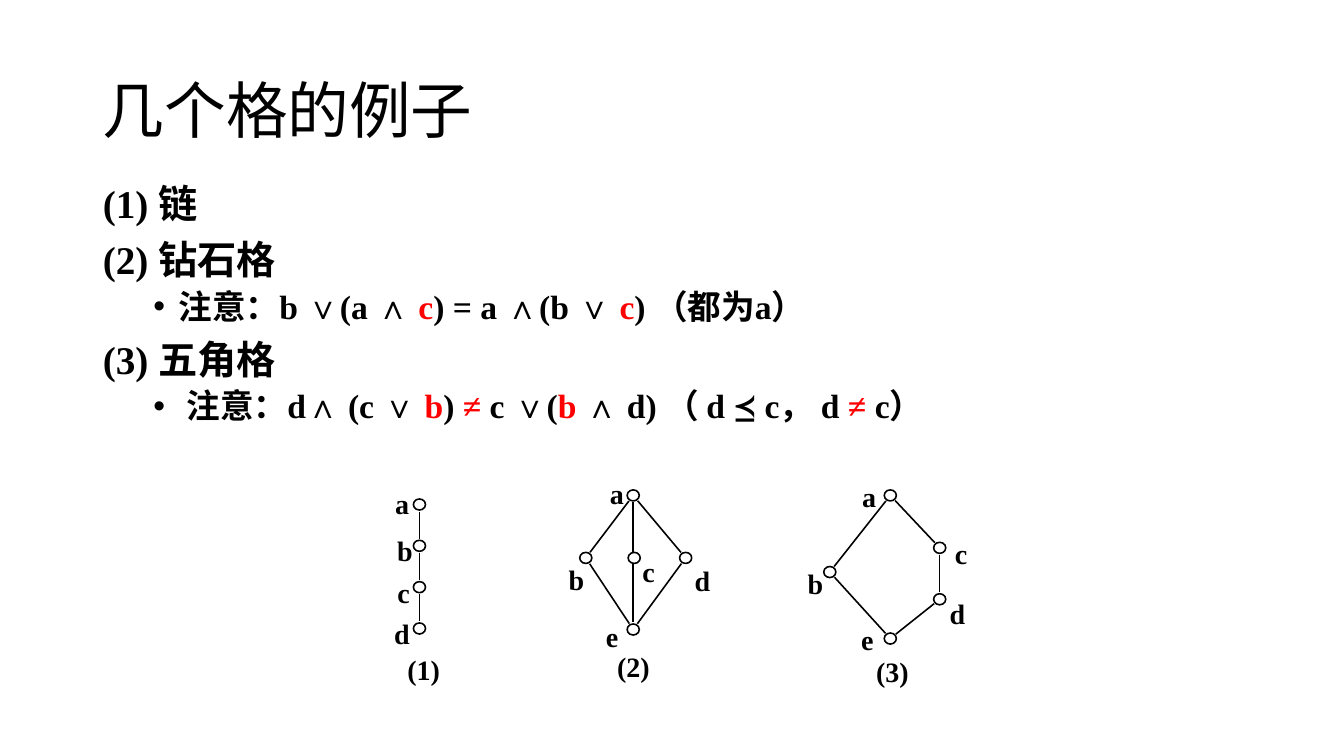
from math import hypot

from lxml.etree import SubElement
from pptx import Presentation
from pptx.dml.color import RGBColor
from pptx.enum.shapes import MSO_CONNECTOR as Link, MSO_SHAPE as Shape
from pptx.enum.text import MSO_ANCHOR as Anchor, MSO_AUTO_SIZE as Fit, PP_ALIGN as Align
from pptx.oxml.ns import qn
from pptx.util import Inches, Pt

BLACK, RED, WHITE = "000000", "FF0000", "FFFFFF"


def color(code):
    return RGBColor.from_string(code)


class Deck:
    head, serif = "Calibri", "Times New Roman"
    stroke = Pt(1.13)
    wide, high, gap = 0.12, 0.11, 0.07  # node size, distance from node centre to edge end
    widths = {"a": 0.14, "b": 0.16, "c": 0.12, "d": 0.16, "e": 0.12}

    def __init__(self, prs):
        self.slide = prs.slides.add_slide(prs.slide_layouts[1])
        self.shapes = self.slide.shapes

    def place(self, shape, *box):
        shape.left, shape.top, shape.width, shape.height = map(Inches, box)

    def style(self, run, size, face, bold=False, tint=BLACK):
        font = run.font
        font.size, font.name, font.bold = Pt(size), face, bold
        font.color.rgb = color(tint)

    def title(self, text, *box):
        shape = self.slide.shapes.title
        self.place(shape, *box)
        frame = shape.text_frame
        frame.text = text
        frame.vertical_anchor = Anchor.MIDDLE
        frame.auto_size = Fit.NONE
        para = frame.paragraphs[0]
        para.alignment, para.line_spacing = Align.LEFT, 0.9
        self.style(para.runs[0], 44, self.head)

    def body(self, items, *box):
        """Each item is (level, left margin, hanging, text); bars enclose red words."""
        shape = self.slide.placeholders[1]
        self.place(shape, *box)
        frame = shape.text_frame
        frame.auto_size = Fit.NONE
        for i, (level, left, hang, text) in enumerate(items):
            para = frame.add_paragraph() if i else frame.paragraphs[0]
            props = para._p.get_or_add_pPr()
            props.set("marL", str(Inches(left)))
            props.set("indent", str(-Inches(hang)))
            if level:
                SubElement(props, qn("a:buFont")).set("typeface", "Arial")
                SubElement(props, qn("a:buChar")).set("char", "•")
            else:
                SubElement(props, qn("a:buNone"))
            para.level, para.alignment = level, Align.JUSTIFY
            para.line_spacing = 0.9
            para.space_before = Pt((5 if level else 10) if i else 0)
            for n, part in enumerate(text.split("|")):
                run = para.add_run()
                run.text = part
                self.style(run, 24 if level else 28, self.serif, True, RED if n % 2 else BLACK)

    def label(self, text, left, top):
        box = self.shapes.add_textbox(0, 0, 0, 0)
        self.place(box, left, top, self.widths.get(text, 0.33), 0.34)
        frame = box.text_frame
        frame.margin_left = frame.margin_right = frame.margin_top = frame.margin_bottom = 0
        frame.word_wrap, frame.auto_size = False, Fit.SHAPE_TO_FIT_TEXT
        frame.text = text
        self.style(frame.paragraphs[0].runs[0], 20, self.serif, True)

    def node(self, left, top):
        dot = self.shapes.add_shape(Shape.OVAL, 0, 0, 0, 0)
        self.place(dot, left, top, self.wide, self.high)
        dot.shadow.inherit = False
        dot.fill.solid()
        dot.fill.fore_color.rgb = color(WHITE)
        dot.line.color.rgb = color(BLACK)
        dot.line.width = self.stroke

    def edge(self, start, end):
        (x, y), (u, v) = [(p[0] + self.wide / 2, p[1] + self.high / 2) for p in (start, end)]
        part = self.gap / hypot(u - x, v - y)
        dx, dy = part * (u - x), part * (v - y)
        ends = map(Inches, (x + dx, y + dy, u - dx, v - dy))
        line = self.shapes.add_connector(Link.STRAIGHT, *ends)
        line.line.color.rgb = color(BLACK)
        line.line.width = self.stroke
        SubElement(line._element.spPr, qn("a:effectLst"))

    def graph(self, name, spot, nodes, edges):
        """Each node maps its letter to (dot position, label position)."""
        self.shapes = self.slide.shapes.add_group_shape().shapes
        for a, b in edges.split():
            self.edge(nodes[a][0], nodes[b][0])
        for letter, (dot, tag) in nodes.items():
            self.node(*dot)
            self.label(letter, *tag)
        self.label(name, *spot)


def main():
    prs = Presentation()
    prs.slide_width, prs.slide_height = Inches(13.33), Inches(7.5)
    deck = Deck(prs)

    # Title and list
    deck.title("几个格的例子", 0.92, 0.4, 11.5, 1.45)
    deck.body([
        (0, 0.25, 0.25, "(1) 链"),
        (0, 0.25, 0.25, "(2) 钻石格"),
        (1, 0.75, 0.25, "注意：b ∨(a ∧ |c|) = a ∧(b ∨ |c|) （都为a）"),
        (0, 0.25, 0.25, "(3) 五角格"),
        (1, 0.83, 0.33, "注意：d∧ (c ∨ |b|) |≠ |c ∨(|b| ∧ d) （ d ≼ c， d |≠ |c）"),
    ], 0.92, 1.78, 11.34, 2.84)

    # Diamond lattice
    deck.graph("(2)", (6.12, 6.44), {
        "a": ((6.22, 4.86), (6.05, 4.73)),
        "b": ((5.75, 5.48), (5.64, 5.58)),
        "c": ((6.23, 5.48), (6.37, 5.5)),
        "d": ((6.74, 5.48), (6.89, 5.59)),
        "e": ((6.22, 6.19), (6.01, 6.15)),
    }, "ab be ad de ae")

    # Pentagon lattice
    deck.graph("(3)", (8.69, 6.49), {
        "a": ((8.77, 4.86), (8.55, 4.76)),
        "b": ((8.17, 5.62), (8.01, 5.62)),
        "c": ((9.26, 5.38), (9.47, 5.32)),
        "d": ((9.26, 5.89), (9.42, 5.92)),
        "e": ((8.77, 6.28), (8.54, 6.18)),
    }, "ab be ac cd de")

    # Chain: dots at equal steps
    tags = {"a": (3.92, 4.83), "b": (3.94, 5.29), "c": (3.94, 5.71), "d": (3.91, 6.12)}
    chain = {k: ((4.1, 4.95 + 0.41 * i), tag) for i, (k, tag) in enumerate(tags.items())}
    deck.graph("(1)", (4.04, 6.47), chain, "ab bc cd")

    prs.save("out.pptx")


if __name__ == "__main__":
    main()
